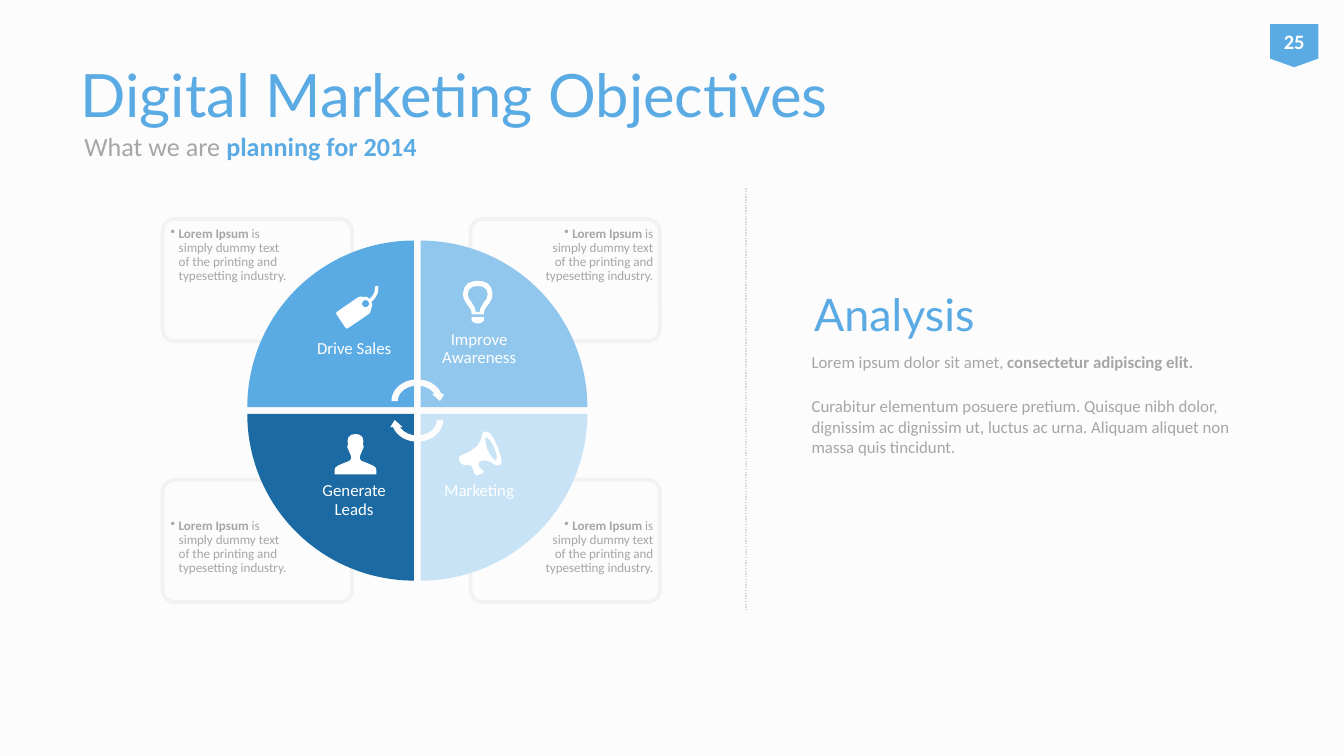
from math import cos, pi, sin

from lxml.etree import SubElement
from pptx import Presentation
from pptx.dml.color import RGBColor
from pptx.enum.dml import MSO_LINE_DASH_STYLE as Dash
from pptx.enum.shapes import MSO_CONNECTOR, MSO_SHAPE as Shape
from pptx.enum.text import MSO_ANCHOR as Anchor, PP_ALIGN as Align
from pptx.oxml.ns import qn
from pptx.util import Pt

PX = 9144
ICON_UNIT = PX / 10
COLORS = {
    "paper": "FCFCFC", "blue": "5AAAE4", "sky": "91C6ED", "pale": "C8E3F6",
    "navy": "1B6AA3", "gray": "A6A6A6", "frame": "F2F2F2", "rule": "D9D9D9",
    "white": "FFFFFF",
}


def color(name):
    return RGBColor.from_string(COLORS[name])


def emu(*lengths):
    return [length * PX for length in lengths]


def mirrored(half, width):
    return half + [(width - x, y) for x, y in reversed(half)]


def circle(cx, cy, radius, steps=24):
    angles = [2 * pi * step / steps for step in range(steps)]
    return [(round(cx + radius * cos(a)), round(cy + radius * sin(a))) for a in angles]


PERSON = [mirrored([
    (155, 0), (185, 5), (208, 25), (214, 55), (210, 80), (216, 88), (214, 105),
    (205, 122), (196, 145), (188, 165), (188, 185), (200, 200), (240, 215),
    (285, 235), (305, 250), (310, 265), (310, 300)], 310)]
TAG = [[
    (8, 200), (0, 213), (8, 225), (70, 318), (78, 325), (90, 322), (240, 220),
    (255, 205), (270, 150), (268, 138), (262, 130), (290, 100), (312, 60),
    (316, 20), (310, 8), (296, 6), (290, 20), (288, 50), (272, 80), (250, 105),
    (240, 96), (228, 90), (180, 88), (165, 92)], circle(220, 140, 26)]
BULB = [
    mirrored([(115, 0), (155, 4), (190, 20), (214, 50), (224, 90), (222, 125),
              (205, 160), (175, 200), (163, 225), (160, 250)], 230),
    mirrored([(115, 38), (155, 45), (180, 65), (189, 100), (182, 130),
              (160, 160), (135, 205), (130, 230)], 230),
    mirrored([(115, 318), (140, 312), (160, 298), (160, 270)], 230)]
MEGAPHONE = [[
    (200, 10), (230, 20), (262, 60), (290, 120), (315, 190), (322, 235),
    (315, 258), (300, 264), (270, 258), (240, 238), (205, 226), (170, 230),
    (153, 240), (150, 252), (158, 275), (170, 290), (185, 300), (190, 312),
    (180, 322), (140, 338), (128, 334), (118, 315), (108, 285), (98, 268),
    (70, 258), (55, 262), (30, 255), (12, 238), (4, 215), (10, 198), (20, 190),
    (90, 158), (140, 120), (165, 80), (178, 35), (186, 16)], [
    (210, 50), (235, 75), (262, 115), (280, 165), (288, 205), (280, 230),
    (255, 210), (230, 175), (213, 135), (203, 90), (202, 60)]]


def style_run(run, size, tone, font="Calibri", bold=False):
    run.font.size, run.font.name, run.font.bold = Pt(size), font, bold
    run.font.color.rgb = color(tone)


def write(paragraph, parts, size, font="Calibri", align=Align.LEFT):
    paragraph.alignment = align
    for words, tone, bold in parts:
        run = paragraph.add_run()
        run.text = words
        style_run(run, size, tone, font, bold)


def add_text(slide, box, anchor=Anchor.TOP, inset=None):
    frame = slide.shapes.add_textbox(*emu(*box)).text_frame
    frame.word_wrap, frame.vertical_anchor = True, anchor
    if inset is not None:
        set_inset(frame, inset)
    return frame


def set_inset(frame, inset):
    frame.margin_left = frame.margin_right = inset * PX
    frame.margin_top = frame.margin_bottom = inset * PX


def add_filled(slide, kind, box, tone, rotation=0):
    shape = slide.shapes.add_shape(kind, *emu(*box))
    shape.shadow.inherit = False
    shape.fill.solid()
    shape.fill.fore_color.rgb = color(tone)
    shape.line.fill.background()
    shape.rotation = rotation
    return shape


def add_icon(slide, left, top, outlines):
    first, *others = outlines
    builder = slide.shapes.build_freeform(*first[0], scale=ICON_UNIT)
    builder.add_line_segments(first[1:])
    for outline in others:
        builder.move_to(*outline[0])
        builder.add_line_segments(outline[1:])
    icon = builder.convert_to_shape(left * PX, top * PX)
    icon.shadow.inherit = False
    icon.fill.solid()
    icon.fill.fore_color.rgb = color("white")
    icon.line.fill.background()


def add_heading(slide, left, top):
    title = slide.shapes.title
    title.left, title.top, title.width, title.height = emu(left, top, 900, 94)
    title.text_frame.text = "Digital Marketing Objectives"
    title.text_frame.vertical_anchor = Anchor.MIDDLE
    line = title.text_frame.paragraphs[0]
    line.alignment = Align.LEFT
    style_run(line.runs[0], 32, "blue", "Lato")
    subtitle = add_text(slide, (left + 3, top + 66, 900, 40), Anchor.MIDDLE)
    write(subtitle.paragraphs[0], [("What we are ", "gray", False),
                                   ("planning for 2014", "blue", True)], 14)


def add_callout(slide, left, top, on_right, at_bottom):
    frame = slide.shapes.add_shape(Shape.ROUNDED_RECTANGLE, *emu(left, top, 141, 91))
    frame.adjustments[0] = 0.1
    frame.shadow.inherit = False
    frame.fill.background()
    frame.line.color.rgb = color("frame")
    frame.line.width = Pt(2)
    box = (left + (45 if on_right else 2), top + (25 if at_bottom else 2), 95, 64)
    note = add_text(slide, box, inset=4).paragraphs[0]
    write(note, [("Lorem Ipsum", "gray", True),
                 (" is simply dummy text of the printing and typesetting industry.",
                  "gray", False)], 7, align=Align.RIGHT if on_right else Align.LEFT)
    note.line_spacing = 0.9
    properties = note._p.get_or_add_pPr()
    properties.set("marL", str(6 * PX))
    properties.set("indent", str(-6 * PX))
    SubElement(properties, qn("a:buChar")).set("char", "•")


def add_wheel(slide, left, top):
    wedge, pitch = 124, 129
    for row in (1, 0):
        for column in (1, 0):
            add_callout(slide, left - 63 + 229 * column, top - 16 + 194 * row,
                        column == 1, row == 1)
    quarters = [
        (0, 0, 0, "blue", "Drive Sales", TAG, (66, 33)),
        (1, 0, 90, "sky", "Improve Awareness", BULB, (160, 30)),
        (1, 1, 180, "pale", "Marketing", MEGAPHONE, (157, 141)),
        (0, 1, 270, "navy", "Generate Leads", PERSON, (65, 144)),
    ]
    for column, row, rotation, tone, label, icon, (icon_x, icon_y) in quarters:
        box = (left + pitch * column, top + pitch * row, wedge, wedge)
        add_filled(slide, Shape.PIE_WEDGE, box, tone, rotation)
        label_box = (left + (129 if column else 36), top + (173 if row else 37), 87, 87)
        caption = add_text(slide, label_box, Anchor.TOP if row else Anchor.MIDDLE, 7)
        write(caption.paragraphs[0], [(label, "white", False)], 9, align=Align.CENTER)
        caption.paragraphs[0].line_spacing = 0.9
        add_icon(slide, left + icon_x, top + icon_y, icon)
    for offset, rotation in ((101, 0), (115, 180)):
        add_filled(slide, Shape.CIRCULAR_ARROW, (left + 105, top + offset, 43, 37),
                   "paper", rotation)


def add_analysis(slide, left, top):
    heading = add_text(slide, (left + 2, top, 315, 64), Anchor.MIDDLE)
    write(heading.paragraphs[0], [("Analysis", "blue", False)], 24, "Lato")
    body = add_text(slide, (left, top + 56, 331, 95))
    write(body.paragraphs[0], [("Lorem ipsum dolor sit amet, ", "gray", False),
                               ("consectetur adipiscing elit.", "gray", True)], 9)
    detail = body.add_paragraph()
    detail.space_before = Pt(12.8)
    write(detail, [("Curabitur elementum posuere pretium. Quisque nibh dolor, dignissim ac "
                    "dignissim ut, luctus ac urna. Aliquam aliquet non massa quis tincidunt.",
                    "gray", False)], 9)


def add_divider(slide, x, top, bottom):
    rule = slide.shapes.add_connector(MSO_CONNECTOR.STRAIGHT, *emu(x, top, x, bottom))
    rule.line.color.rgb = color("rule")
    rule.line.width = Pt(0.75)
    rule.line.dash_style = Dash.ROUND_DOT
    SubElement(rule._element.spPr, qn("a:effectLst"))


def add_page_badge(slide, left, top):
    badge = add_filled(slide, Shape.FLOWCHART_OFFPAGE_CONNECTOR, (left, top, 36, 32), "blue")
    set_inset(badge.text_frame, 0)
    badge.text_frame.vertical_anchor = Anchor.MIDDLE
    write(badge.text_frame.paragraphs[0], [("25", "white", True)], 11, align=Align.CENTER)


def main():
    deck = Presentation()
    deck.slide_width = 1000 * PX
    deck.slide_height = deck.slide_width * 9 // 16
    slide = deck.slides.add_slide(deck.slide_layouts[5])
    slide.background.fill.solid()
    slide.background.fill.fore_color.rgb = color("paper")
    add_heading(slide, 50, 23)
    add_wheel(slide, 184, 179)
    add_analysis(slide, 594, 201)
    add_divider(slide, 555, 140, 454)
    add_page_badge(slide, 945, 18)
    deck.save("out.pptx")


if __name__ == "__main__":
    main()
